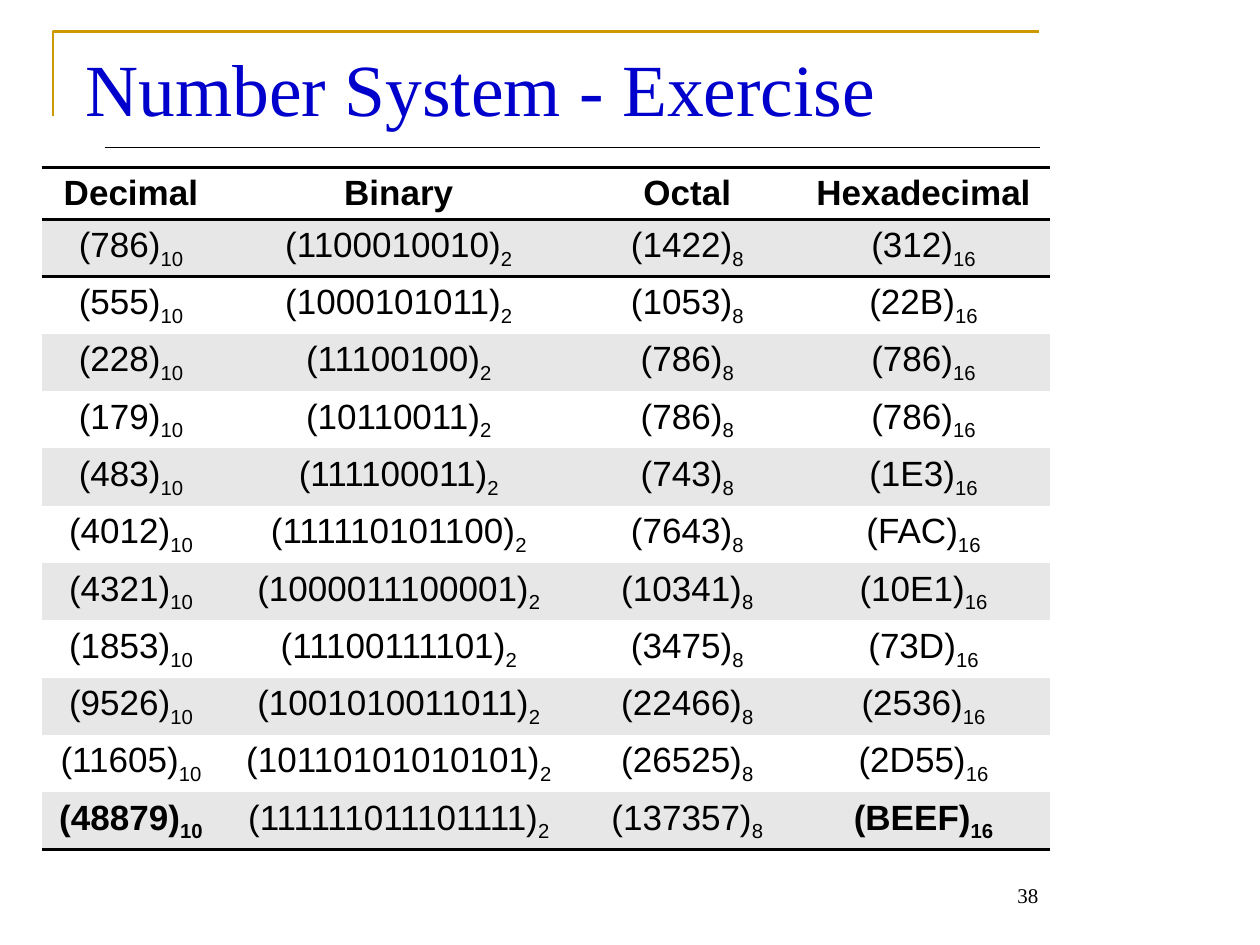
from lxml.etree import SubElement as Sub
from pptx import Presentation
from pptx.dml.color import RGBColor as RGB
from pptx.enum.shapes import MSO_CONNECTOR as Conn
from pptx.enum.text import MSO_ANCHOR as Anchor, PP_ALIGN as Align
from pptx.oxml import parse_xml
from pptx.oxml.ns import nsdecls, qn
from pptx.util import Inches, Pt

GOLD = RGB(0xCC, 0x99, 0x00)
BLUE = RGB(0x00, 0x00, 0xCC)
BLACK = RGB(0x00, 0x00, 0x00)
WHITE = RGB(0xFF, 0xFF, 0xFF)
GRAY = RGB(0xE7, 0xE7, 0xE7)
SERIF, SANS = "Times New Roman", "Arial"
PLAIN = "{2D5ABB26-0587-4C30-8999-92F81FD0307C}"  # no style, no grid

HEADS = ["Decimal", "Binary", "Octal", "Hexadecimal"]
BASES = ["10", "2", "8", "16"]
WIDTHS = [1.42, 2.83, 1.75, 2]
ROWS = [
    ["786", "1100010010", "1422", "312"],
    ["555", "1000101011", "1053", "22B"],
    ["228", "11100100", "786", "786"],
    ["179", "10110011", "786", "786"],
    ["483", "111100011", "743", "1E3"],
    ["4012", "111110101100", "7643", "FAC"],
    ["4321", "1000011100001", "10341", "10E1"],
    ["1853", "11100111101", "3475", "73D"],
    ["9526", "1001010011011", "22466", "2536"],
    ["11605", "10110101010101", "26525", "2D55"],
    ["48879", "111111011101111", "137357", "BEEF"],
]
BOLD = {"48879", "BEEF"}


def add_run(para, text, size, face, color, bold=False, sub=False):
    run = para.add_run()
    run.text = text
    font = run.font
    font.size, font.name, font.bold = Pt(size), face, bold
    font.color.rgb = color
    if sub:
        font._element.set("baseline", "-25000")


def add_frame(slide):
    # Gold corner and thin rule around the title
    pen = slide.shapes.build_freeform(Inches(0.42), Inches(0.92))
    pen.add_line_segments(
        [(Inches(0.42), Inches(0.25)), (Inches(8.25), Inches(0.25))], close=False)
    edge = pen.convert_to_shape()
    edge.shadow.inherit = False
    edge.fill.background()
    edge.line.color.rgb, edge.line.width = GOLD, Pt(1.5)

    rule = slide.shapes.add_connector(
        Conn.STRAIGHT, Inches(0.83), Inches(1.17), Inches(8.25), Inches(1.17))
    rule.line.color.rgb, rule.line.width = BLACK, Pt(0.75)
    Sub(rule._element.spPr, qn("a:effectLst"))


def add_title(slide, text):
    title = slide.shapes.title
    title.left, title.top = Inches(0.58), Inches(0.25)
    title.width, title.height = Inches(7.75), Inches(1)
    frame = title.text_frame
    frame.vertical_anchor = Anchor.MIDDLE
    frame.margin_bottom = Inches(0.16)
    para = frame.paragraphs[0]
    para.alignment = Align.LEFT
    add_run(para, text, 42, SERIF, BLUE)


def add_edges(cell, sides):
    props = cell._tc.get_or_add_tcPr()
    for side in sides:
        props.append(parse_xml(
            f'<a:ln{side} {nsdecls("a")} w="{Pt(2)}"><a:solidFill>'
            f'<a:srgbClr val="{BLACK}"/></a:solidFill></a:ln{side}>'))


def fill_cell(cell, runs, color, sides, bold):
    add_edges(cell, sides)
    cell.fill.solid()
    cell.fill.fore_color.rgb = color
    para = cell.text_frame.paragraphs[0]
    para.alignment = Align.CENTER
    for text, sub in runs:
        add_run(para, text, 20, SANS, BLACK, bold, sub)


def add_grid(slide):
    count = len(ROWS) + 1
    grid = slide.shapes.add_table(
        count, len(HEADS), Inches(0.33), Inches(1.33),
        Inches(sum(WIDTHS)), Inches(0.41 * count)).table
    grid.first_row = grid.horz_banding = False
    grid._tbl.tblPr.find(qn("a:tableStyleId")).text = PLAIN
    for col, width in zip(grid.columns, WIDTHS):
        col.width = Inches(width)
    for row in grid.rows:
        row.height = Inches(0.41)

    # Header, then the banded number rows
    for c, head in enumerate(HEADS):
        fill_cell(grid.cell(0, c), [(head, False)], WHITE, "TB", True)
    for r, row in enumerate(ROWS, 1):
        sides = "T" if r == 1 else "B" if r == len(ROWS) else ""
        for c, (num, base) in enumerate(zip(row, BASES)):
            fill_cell(grid.cell(r, c), [(f"({num})", False), (base, True)],
                      GRAY if r % 2 else WHITE, sides, num in BOLD)


def add_page(slide, text):
    box = slide.shapes.add_textbox(
        Inches(7.67), Inches(6.75), Inches(0.67), Inches(0.5))
    frame = box.text_frame
    frame.word_wrap = True
    frame.vertical_anchor = Anchor.BOTTOM
    para = frame.paragraphs[0]
    para.alignment = Align.RIGHT
    add_run(para, text, 12, SERIF, BLACK)


def main():
    deck = Presentation()
    deck.slide_width, deck.slide_height = Inches(10), Inches(7.5)
    slide = deck.slides.add_slide(deck.slide_layouts[5])
    add_frame(slide)
    add_title(slide, "Number System - Exercise")
    add_grid(slide)
    add_page(slide, "38")
    deck.save("out.pptx")


if __name__ == "__main__":
    main()
